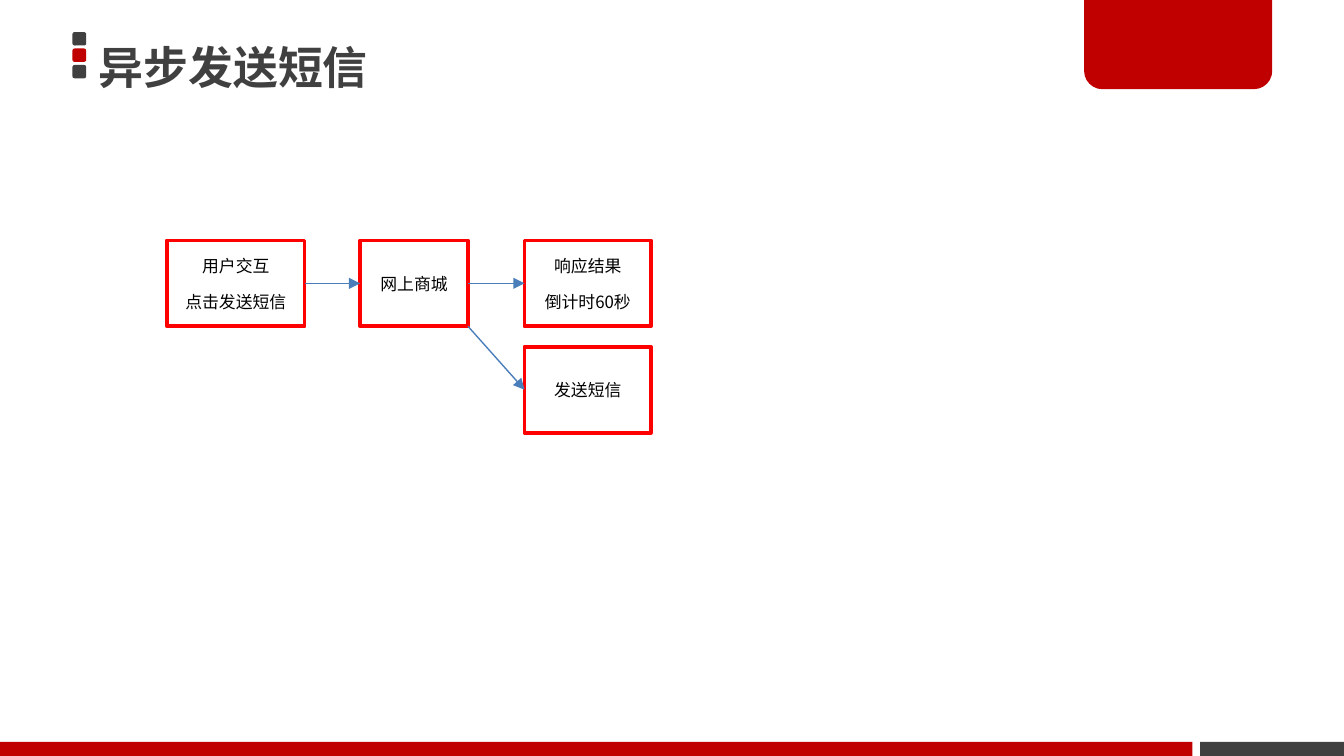
from lxml import etree
from pptx import Presentation
from pptx.dml.color import RGBColor
from pptx.enum.shapes import MSO_CONNECTOR, MSO_SHAPE
from pptx.enum.text import MSO_ANCHOR, MSO_AUTO_SIZE, PP_ALIGN
from pptx.oxml.ns import qn
from pptx.util import Pt

RECT = MSO_SHAPE.RECTANGLE
ROUND = MSO_SHAPE.ROUNDED_RECTANGLE
TAB = MSO_SHAPE.ROUND_2_SAME_RECTANGLE
LINE = MSO_CONNECTOR.STRAIGHT
MIDDLE = MSO_ANCHOR.MIDDLE
NO_FIT = MSO_AUTO_SIZE.NONE
LEFT, CENTER = PP_ALIGN.LEFT, PP_ALIGN.CENTER

FONT = "Noto Sans CJK SC"
RED, GRAY = "C00000", "404040"
BOX_H = 46
TOP, ROW_GAP = 128.8, 57


def paint(target, color):
    """Give a fill or line fill a solid colour."""
    target.solid()
    target.fore_color.rgb = RGBColor.from_string(color)


def write(frame, text, size=9, color="000000", bold=False, align=CENTER,
          spacing=1.0, gap=0):
    """Fill a text frame, one paragraph per line of text."""
    frame.word_wrap = True
    frame.auto_size = NO_FIT
    frame.vertical_anchor = MIDDLE
    for i, line in enumerate(text.split("\n")):
        para = frame.paragraphs[0] if i == 0 else frame.add_paragraph()
        para.alignment = align
        para.line_spacing = spacing
        para.space_before = Pt(gap if i else 0)
        run = para.add_run()
        run.text = line
        font = run.font
        font.name, font.size, font.bold = FONT, Pt(size), bold
        paint(font.fill, color)
        # East Asian typeface
        east = etree.SubElement(run._r.get_or_add_rPr(), qn("a:ea"))
        east.set("typeface", FONT)


def block(slide, kind, x, y, w, h, fill):
    """Add a plain filled shape without outline."""
    shape = slide.shapes.add_shape(kind, Pt(x), Pt(y), Pt(w), Pt(h))
    shape.shadow.inherit = False
    paint(shape.fill, fill)
    shape.line.fill.background()
    return shape


def step(slide, text, x, y, w):
    """Add a red-framed step of the flow."""
    shape = block(slide, RECT, x, y, w, BOX_H, "FFFFFF")
    paint(shape.line.fill, "FF0000")
    shape.line.width = Pt(2)
    write(shape.text_frame, text, gap=8.4)
    return shape


def arrow(slide, start, end, corner=False):
    """Join a step's right side, or its lower right corner, to the next."""
    x, y = start.left + start.width, start.top + start.height
    link = slide.shapes.add_connector(LINE, x, y, end.left, end.top)
    if not corner:
        link.begin_connect(start, 3)
    link.end_connect(end, 1)
    paint(link.line.fill, "4A7EBB")
    link.line.width = Pt(0.75)
    etree.SubElement(link.line._get_or_add_ln(), qn("a:tailEnd"), type="triangle")
    etree.SubElement(link._element.spPr, qn("a:effectLst"))


def decor(slide):
    """Draw the title marks, corner tab and footer bars."""
    for i, color in enumerate((GRAY, RED, GRAY)):
        block(slide, ROUND, 38.8, 17.2 + 8.8 * i, 7.4, 7.2, color)
    tab = block(slide, TAB, 580.8, -1.4, 100.8, 49.2, RED)
    tab.adjustments[0], tab.adjustments[1] = 0, 0.2
    block(slide, RECT, 0, 397.5, 638.8, 7.5, RED)
    block(slide, RECT, 643, 397.5, 77, 7.5, GRAY)


def heading(slide, text):
    """Place and format the title placeholder."""
    title = slide.shapes.title
    title.left, title.top = Pt(47.2), Pt(-3.6)
    title.width, title.height = Pt(288), Pt(64)
    frame = title.text_frame
    frame.margin_left = frame.margin_right = Pt(5.8)
    frame.margin_top = frame.margin_bottom = Pt(2.9)
    write(frame, text, size=24, color=GRAY, bold=True, align=LEFT, spacing=1.5)


def main():
    deck = Presentation()
    deck.slide_width, deck.slide_height = Pt(720), Pt(405)
    slide = deck.slides.add_slide(deck.slide_layouts[5])
    decor(slide)
    heading(slide, "异步发送短信")

    # Flow steps
    user = step(slide, "用户交互\n点击发送短信", 89.4, TOP, 73.8)
    shop = step(slide, "网上商城", 192.9, TOP, 57.8)
    reply = step(slide, "响应结果\n倒计时60秒", 281, TOP, 67.8)
    sms = step(slide, "发送短信", 281, TOP + ROW_GAP, 67.8)

    # Flow arrows
    arrow(slide, user, shop)
    arrow(slide, shop, reply)
    arrow(slide, shop, sms, corner=True)
    deck.save("out.pptx")


if __name__ == "__main__":
    main()
